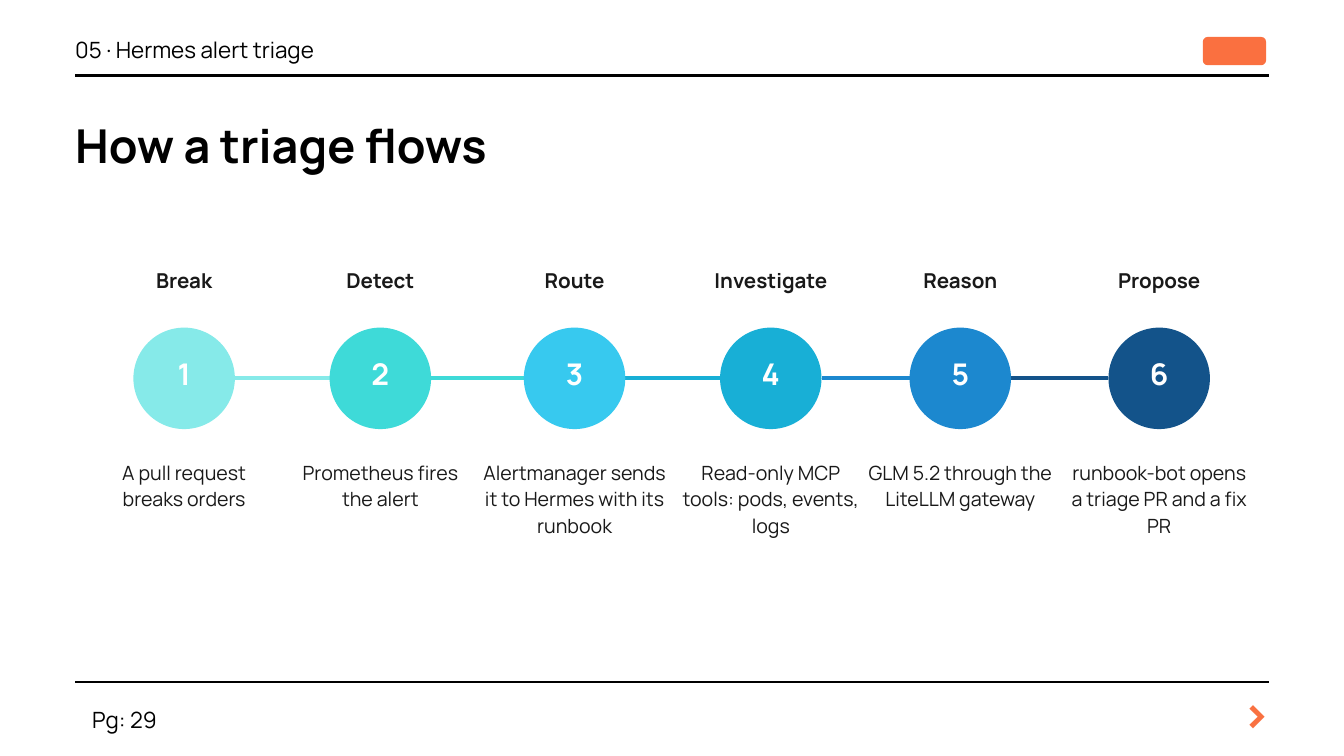
from dataclasses import dataclass
from itertools import pairwise

from lxml import etree
from pptx import Presentation
from pptx.dml.color import RGBColor
from pptx.enum import shapes, text
from pptx.oxml.ns import qn
from pptx.util import Inches, Pt


@dataclass(frozen=True)
class Theme:
    font: str = "Manrope"
    black: str = "000000"
    body: str = "191919"
    white: str = "FFFFFF"
    logo: str = "FA7040"
    arrow: str = "F97141"
    title_size: float = 50
    arrow_size: float = 52
    label_size: float = 24
    number_size: float = 32
    heading_size: float = 22
    detail_size: float = 21


THEME = Theme()
LEFT, RIGHT = 1.12, 18.88
CIRCLE_SIZE, CIRCLE_MIDDLE = 1.51, 5.63
HEADING_WIDTH, DETAIL_WIDTH = 2.63, 2.79

# centre, circle colour, colour of the line to the next step, heading, detail
STEPS = [
    (2.74, "86EAE9", "86EAE9", "Break", "A pull request breaks orders"),
    (5.66, "3EDAD8", "3EDAD8", "Detect", "Prometheus fires the alert"),
    (8.55, "37C9EF", "18AFD6", "Route",
     "Alertmanager sends it to Hermes with its runbook"),
    (11.47, "18AFD6", "1C88CF", "Investigate",
     "Read-only MCP tools: pods, events, logs"),
    (14.29, "1C88CF", "13538A", "Reason", "GLM 5.2 through the LiteLLM gateway"),
    (17.25, "13538A", None, "Propose", "runbook-bot opens a triage PR and a fix PR"),
]


def write(frame, words, size, color, spacing, bold=False, align=text.PP_ALIGN.LEFT):
    """Fill a text frame with one paragraph; spacing is in points."""
    frame.word_wrap = True
    frame.margin_left = frame.margin_right = 0
    frame.margin_top = frame.margin_bottom = 0
    para = frame.paragraphs[0]
    para.text = words
    para.alignment = align
    para.line_spacing = Pt(spacing)
    font = para.font
    font.name, font.size, font.bold = THEME.font, Pt(size), bold
    font.color.rgb = RGBColor.from_string(color)


def add_text(slide, left, top, width, height, *content, **style):
    box = slide.shapes.add_textbox(
        Inches(left), Inches(top), Inches(width), Inches(height))
    write(box.text_frame, *content, **style)


def add_line(slide, start, end, y, color, weight):
    line = slide.shapes.add_connector(
        shapes.MSO_CONNECTOR.STRAIGHT,
        Inches(start), Inches(y), Inches(end), Inches(y))
    line.line.color.rgb = RGBColor.from_string(color)
    line.line.width = Pt(weight)
    properties = line._element.find(qn("p:spPr"))
    etree.SubElement(properties, qn("a:effectLst"))


def add_filled(slide, kind, left, top, width, height, color):
    shape = slide.shapes.add_shape(
        kind, Inches(left), Inches(top), Inches(width), Inches(height))
    shape.shadow.inherit = False
    shape.fill.solid()
    shape.fill.fore_color.rgb = RGBColor.from_string(color)
    shape.line.fill.background()
    return shape


def add_step(slide, number, center, color, heading, detail):
    middle = text.PP_ALIGN.CENTER
    circle = add_filled(
        slide, shapes.MSO_SHAPE.OVAL, center - CIRCLE_SIZE / 2,
        CIRCLE_MIDDLE - CIRCLE_SIZE / 2, CIRCLE_SIZE, CIRCLE_SIZE, color)
    frame = circle.text_frame
    write(frame, str(number), THEME.number_size, THEME.white, 32,
          bold=True, align=middle)
    frame.vertical_anchor = text.MSO_ANCHOR.MIDDLE
    frame.margin_bottom = Inches(0.06)
    add_text(slide, center - HEADING_WIDTH / 2, 3.96, HEADING_WIDTH, 0.42,
             heading, THEME.heading_size, THEME.body, 28.6, bold=True, align=middle)
    add_text(slide, center - DETAIL_WIDTH / 2, 6.81, DETAIL_WIDTH, 0.74,
             detail, THEME.detail_size, THEME.body, 28.4, align=middle)


def add_frame(slide):
    """Add the header, title and footer around the flow."""
    for y in (1.12, 10.15):
        add_line(slide, LEFT, RIGHT, y, THEME.black, 3)
    add_text(slide, LEFT, 0.47, 14, 0.44, "05 · Hermes alert triage",
             THEME.label_size, THEME.black, 33.6)
    add_filled(slide, shapes.MSO_SHAPE.ROUNDED_RECTANGLE,
               17.9, 0.55, 0.94, 0.42, THEME.logo)
    add_text(slide, LEFT, 1.6, 16.5, 0.94, "How a triage flows",
             THEME.title_size, THEME.black, 70, bold=True)
    add_text(slide, 1.37, 10.44, 1.6, 0.46, "Pg: 29",
             THEME.label_size, THEME.black, 33.6)
    add_text(slide, 18.46, 10.03, 0.41, 0.98, ">", THEME.arrow_size,
             THEME.arrow, 72.8, bold=True, align=text.PP_ALIGN.CENTER)


def main():
    deck = Presentation()
    deck.slide_width, deck.slide_height = Inches(20), Inches(11.25)
    slide = deck.slides.add_slide(deck.slide_layouts[6])
    add_frame(slide)
    radius = CIRCLE_SIZE / 2
    for (center, _, rail, *_), (next_center, *_) in pairwise(STEPS):
        add_line(slide, center + radius, next_center - radius,
                 CIRCLE_MIDDLE, rail, 4.5)
    for number, (center, color, _, heading, detail) in enumerate(STEPS, 1):
        add_step(slide, number, center, color, heading, detail)
    deck.save("out.pptx")


if __name__ == "__main__":
    main()
